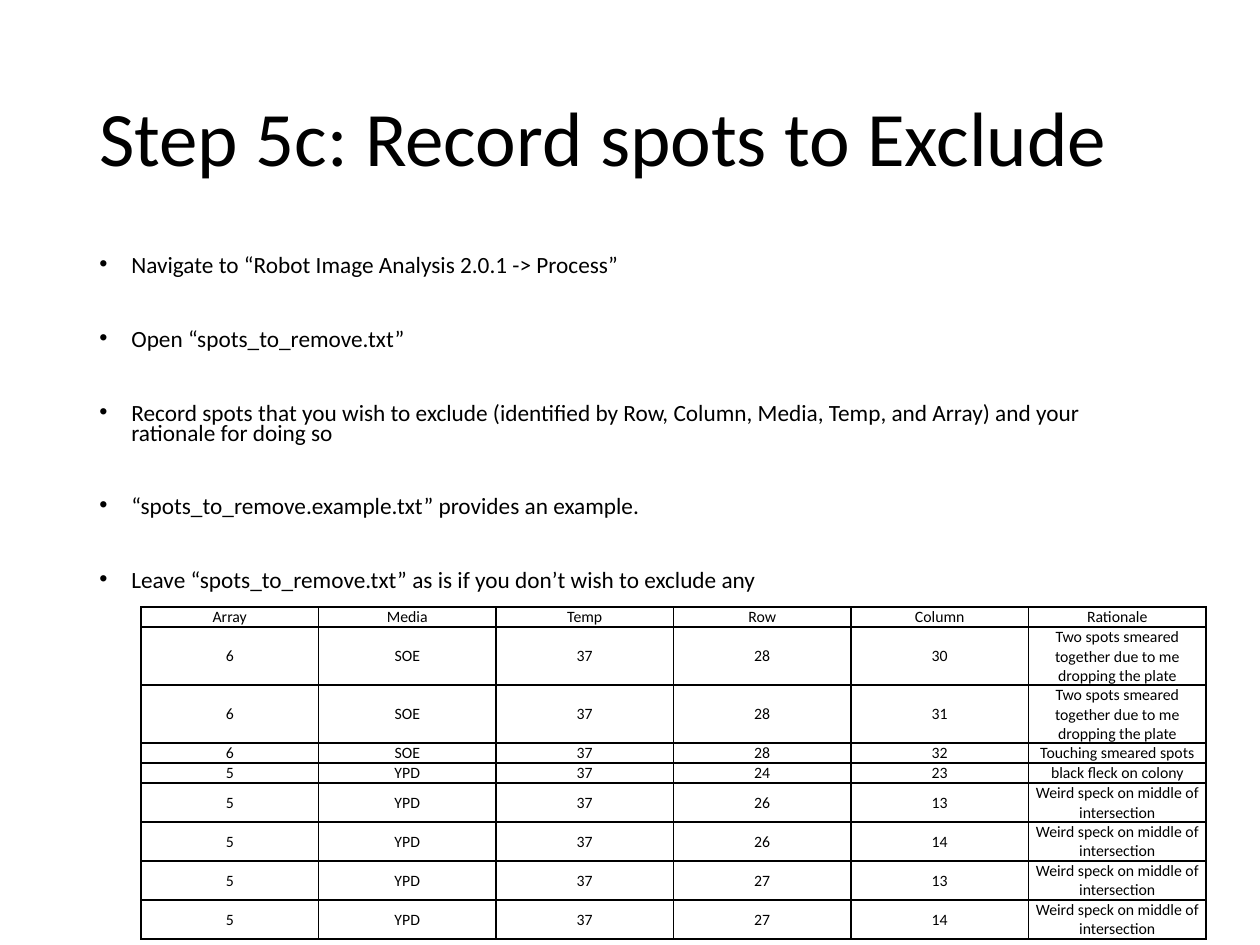
from lxml import etree
from pptx import Presentation
from pptx.dml.color import RGBColor
from pptx.enum.text import MSO_ANCHOR, PP_ALIGN
from pptx.oxml.ns import qn
from pptx.util import Pt

SCALE = 914400 / 126
BLACK = RGBColor(0, 0, 0)
FONT = "Calibri"
MIDDLE, TOP = MSO_ANCHOR.MIDDLE, MSO_ANCHOR.TOP
CENTER = PP_ALIGN.CENTER

TITLE = "Step 5c: Record spots to Exclude"
STEPS = [
    "Navigate to “Robot Image Analysis 2.0.1 -> Process”",
    "Open “spots_to_remove.txt”",
    "Record spots that you wish to exclude (identified by Row, Column, "
    "Media, Temp, and Array) and your rationale for doing so",
    "“spots_to_remove.example.txt” provides an example.",
    "Leave “spots_to_remove.txt” as is if you don’t wish to exclude any",
]
SMEAR = "Two spots smeared together due to me dropping the plate"
SPECK = "Weird speck on middle of intersection"
SPOTS = [
    ("Array", "Media", "Temp", "Row", "Column", "Rationale"),
    (6, "SOE", 37, 28, 30, SMEAR),
    (6, "SOE", 37, 28, 31, SMEAR),
    (6, "SOE", 37, 28, 32, "Touching smeared spots"),
    (5, "YPD", 37, 24, 23, "black fleck on colony"),
    (5, "YPD", 37, 26, 13, SPECK),
    (5, "YPD", 37, 26, 14, SPECK),
    (5, "YPD", 37, 27, 13, SPECK),
    (5, "YPD", 37, 27, 14, SPECK),
]
HEIGHTS = [20, 58, 58, 20, 20, 39, 39, 39, 39]


def px(n):
    return round(n * SCALE)


def style(para, size):
    para.font.name = FONT
    para.font.size = Pt(size)
    para.font.color.rgb = BLACK


def add_text(slide, box, lines, size, spacing, anchor=TOP):
    """Add a wrapped text box and return its paragraphs."""
    frame = slide.shapes.add_textbox(*map(px, box)).text_frame
    frame.word_wrap = True
    frame.vertical_anchor = anchor
    frame.text = "\n".join(lines)
    for para in frame.paragraphs:
        style(para, size)
        para.line_spacing = spacing
    return frame.paragraphs


def add_bullet(para, indent):
    props = para._p.get_or_add_pPr()
    props.set("marL", str(px(indent)))
    props.set("indent", str(-px(indent)))
    etree.SubElement(props, qn("a:buFont"), typeface="Arial")
    etree.SubElement(props, qn("a:buChar"), char="•")


def add_border(cell, width):
    props = cell._tc.get_or_add_tcPr()
    for i, side in enumerate("LRTB"):
        line = etree.Element(qn(f"a:ln{side}"), w=str(Pt(width)))
        fill = etree.SubElement(line, qn("a:solidFill"))
        etree.SubElement(fill, qn("a:srgbClr"), val=str(BLACK))
        props.insert(i, line)


def fill_cell(cell, text):
    cell.text = str(text)
    cell.fill.background()
    cell.vertical_anchor = MIDDLE
    cell.margin_left = cell.margin_right = cell.margin_top = px(1)
    cell.margin_bottom = 0
    para = cell.text_frame.paragraphs[0]
    para.alignment = CENTER
    style(para, 9)
    add_border(cell, 1)


def add_grid(slide, left, top, width, rows, heights):
    count = len(rows[0])
    table = slide.shapes.add_table(
        len(rows), count, px(left), px(top), px(width), px(sum(heights))
    ).table
    table.first_row = table.horz_banding = False
    for col in table.columns:
        col.width = px(width / count)
    for row, height, values in zip(table.rows, heights, rows):
        row.height = px(height)
        for cell, value in zip(row.cells, values):
            fill_cell(cell, value)


def main():
    prs = Presentation()
    prs.slide_width, prs.slide_height = px(1260), px(945)
    slide = prs.slides.add_slide(prs.slide_layouts[6])
    add_text(slide, (87, 50, 1086, 183), [TITLE], 44, 0.9, MIDDLE)
    for para in add_text(slide, (87, 252, 1086, 347), STEPS, 13.3, 0.7):
        para.space_after = Pt(31)
        add_bullet(para, 32)
    add_grid(slide, 141, 607, 1065, SPOTS, HEIGHTS)
    prs.save("out.pptx")


if __name__ == "__main__":
    main()
